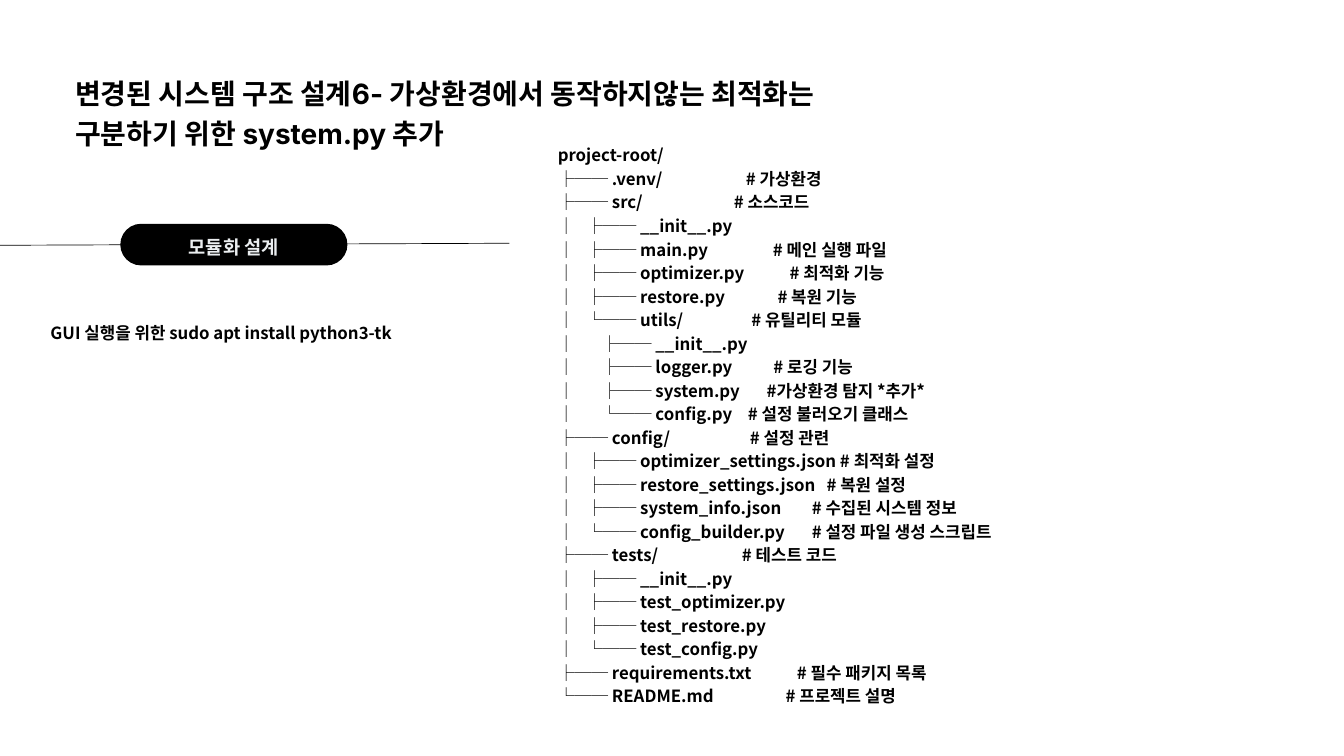
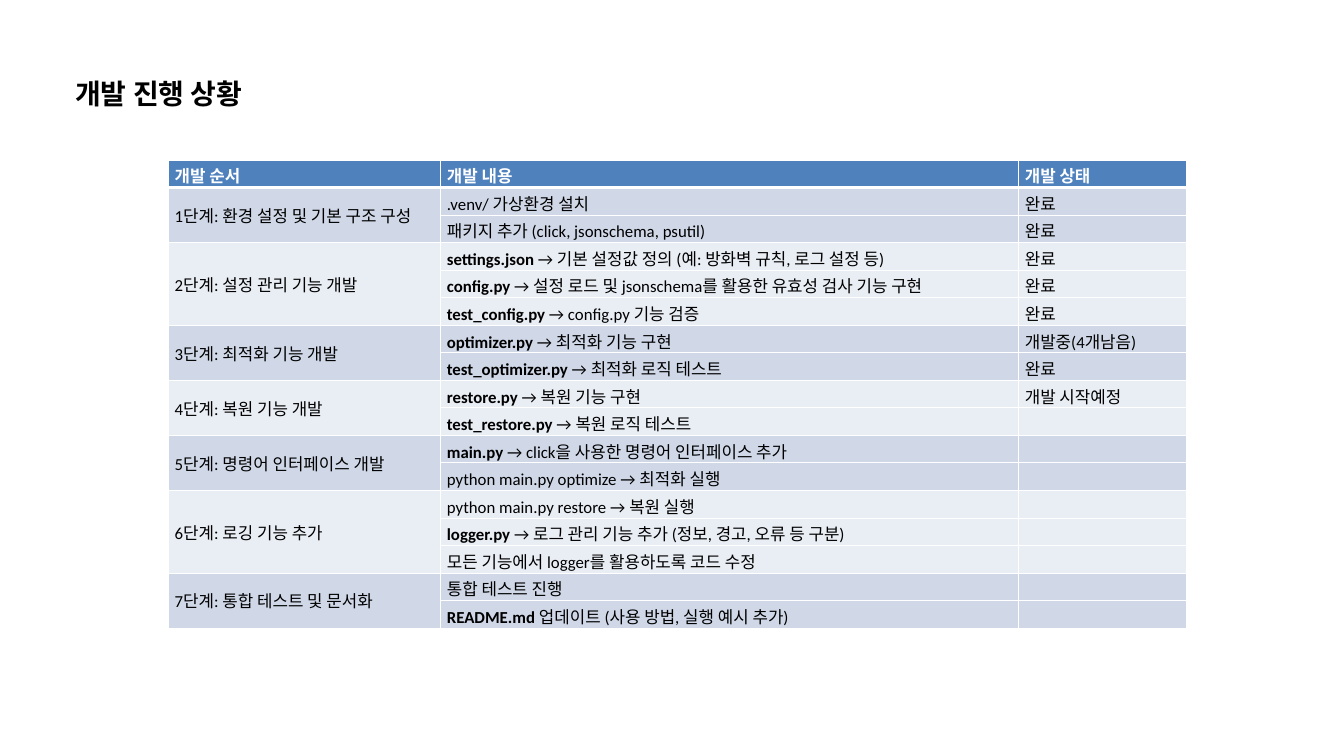
import pptx
import pptx.util
import pptx.dml.color
import pptx.enum.shapes
import pptx.enum.text
import pptx.oxml
import pptx.oxml.ns
from dataclasses import dataclass

Inches = pptx.util.Inches
Pt = pptx.util.Pt
RGB = pptx.dml.color.RGBColor.from_string
NS = pptx.oxml.ns.nsdecls("a")


@dataclass(frozen=True)
class Theme:
    black: str = "000000"
    white: str = "FFFFFF"
    pill_text: str = "EBEEF0"
    header: str = "4F81BD"
    bands: tuple = ("D0D8E8", "E9EDF4")
    title_font: str = "Inter"
    body_font: str = "Noto Sans CJK SC"
    table_font: str = "Calibri"
    title_size: int = 30
    pill_size: int = 20
    body_size: int = 18
    leading: float = 1.4


THEME = Theme()
TITLE = {"name": THEME.title_font, "size": Pt(THEME.title_size), "bold": True}
PILL = {"name": THEME.body_font, "size": Pt(THEME.pill_size), "bold": True}
BODY = {"name": THEME.body_font, "size": Pt(THEME.body_size), "bold": True}
CELL = {"name": THEME.table_font, "size": Pt(THEME.body_size), "bold": False}
CELL_BOLD = {**CELL, "bold": True}

TREE = [
    ("project-root/",),
    ("├── .venv/", 2.8, "# 가상환경"),
    ("├── src/", 2.62, "# 소스코드"),
    ("│   ├── __init__.py",),
    ("│   ├── main.py", 3.2, "# 메인 실행 파일"),
    ("│   ├── optimizer.py", 3.45, "# 최적화 기능"),
    ("│   ├── restore.py", 3.27, "# 복원 기능"),
    ("│   └── utils/", 2.88, "# 유틸리티 모듈"),
    ("│       ├── __init__.py",),
    ("│       ├── logger.py", 3.21, "# 로깅 기능"),
    ("│       ├── system.py", 3.11, "#가상환경 탐지 *추가*"),
    ("│       └── config.py", 2.83, "# 설정 불러오기 클래스"),
    ("├── config/", 2.86, "# 설정 관련"),
    ("│   ├── optimizer_settings.json # 최적화 설정",),
    ("│   ├── restore_settings.json", 4, "# 복원 설정"),
    ("│   ├── system_info.json", 3.78, "# 수집된 시스템 정보"),
    ("│   └── config_builder.py", 3.78, "# 설정 파일 생성 스크립트"),
    ("├── tests/", 2.74, "# 테스트 코드"),
    ("│   ├── __init__.py",),
    ("│   ├── test_optimizer.py",),
    ("│   ├── test_restore.py",),
    ("│   └── test_config.py",),
    ("├── requirements.txt", 3.56, "# 필수 패키지 목록"),
    ("└── README.md", 3.39, "# 프로젝트 설명"),
]

HEADERS = ["개발 순서", "개발 내용", "개발 상태"]
COLUMNS = [4.05, 8.6, 2.5]
STAGES = [
    ("1단계: 환경 설정 및 기본 구조 구성", [
        ("", ".venv/ 가상환경 설치", "완료"),
        ("", "패키지 추가 (click, jsonschema, psutil)", "완료")]),
    ("2단계: 설정 관리 기능 개발", [
        ("settings.json", " → 기본 설정값 정의 (예: 방화벽 규칙, 로그 설정 등)", "완료"),
        ("config.py", " → 설정 로드 및 jsonschema를 활용한 유효성 검사 기능 구현", "완료"),
        ("test_config.py", " → config.py 기능 검증", "완료")]),
    ("3단계: 최적화 기능 개발", [
        ("optimizer.py", " → 최적화 기능 구현", "개발중(4개남음)"),
        ("test_optimizer.py", " → 최적화 로직 테스트", "완료")]),
    ("4단계: 복원 기능 개발", [
        ("restore.py", " → 복원 기능 구현", "개발 시작예정"),
        ("test_restore.py", " → 복원 로직 테스트", "")]),
    ("5단계: 명령어 인터페이스 개발", [
        ("main.py", " → click을 사용한 명령어 인터페이스 추가", ""),
        ("", "python main.py optimize → 최적화 실행", "")]),
    ("6단계: 로깅 기능 추가", [
        ("", "python main.py restore → 복원 실행", ""),
        ("logger.py", " → 로그 관리 기능 추가 (정보, 경고, 오류 등 구분)", ""),
        ("", "모든 기능에서 logger를 활용하도록 코드 수정", "")]),
    ("7단계: 통합 테스트 및 문서화", [
        ("", "통합 테스트 진행", ""),
        ("README.md", " 업데이트 (사용 방법, 실행 예시 추가)", "")]),
]


def add_run(p, text, fmt, color=THEME.black):
    r = p.add_run()
    r.text = text
    for name, value in fmt.items():
        setattr(r.font, name, value)
    r.font.color.rgb = RGB(color)


def add_tab(p, stop):
    p._p.get_or_add_pPr().append(pptx.oxml.parse_xml(
        f'<a:tabLst {NS}><a:tab pos="{Inches(stop)}" algn="l"/></a:tabLst>'))


def add_text(s, box, lines, fmt, color=THEME.black, align=None):
    tf = s.shapes.add_textbox(*map(Inches, box)).text_frame
    tf.word_wrap = True
    for side in ("left", "top", "right", "bottom"):
        setattr(tf, f"margin_{side}", 0)
    for i, (text, *comment) in enumerate(lines):
        p = tf.paragraphs[0] if i == 0 else tf.add_paragraph()
        if comment:
            stop, note = comment
            add_tab(p, stop)
            text = f"{text}\t{note}"
        p.line_spacing = Pt(fmt["size"].pt * THEME.leading)
        p.alignment = align
        add_run(p, text, fmt, color)


def add_title(s, text, width, height):
    add_text(s, (1.12, 1.06, width, height), [(text,)], TITLE)


def add_rule(s, x1, y1, x2, y2):
    sp = s.shapes.add_connector(pptx.enum.shapes.MSO_CONNECTOR.STRAIGHT,
                                *map(Inches, (x1, y1, x2, y2)))
    sp.line.color.rgb = RGB(THEME.black)
    sp.line.width = Pt(0.75)
    sp._element.spPr.append(pptx.oxml.parse_xml(f"<a:effectLst {NS}/>"))


def add_pill(s, box, label_box, text):
    sp = s.shapes.add_shape(pptx.enum.shapes.MSO_SHAPE.ROUNDED_RECTANGLE, *map(Inches, box))
    sp.adjustments[0] = 0.5
    sp.shadow.inherit = False
    sp.fill.solid()
    sp.fill.fore_color.rgb = RGB(THEME.black)
    sp.line.fill.background()
    add_text(s, label_box, [(text,)], PILL, THEME.pill_text, pptx.enum.text.PP_ALIGN.CENTER)


def set_borders(cell, bottom=1):
    tcPr = cell._tc.get_or_add_tcPr()
    for i, (side, width) in enumerate(zip("LRTB", (1, 1, 1, bottom))):
        tcPr.insert(i, pptx.oxml.parse_xml(
            f'<a:ln{side} {NS} w="{Pt(width)}"><a:solidFill>'
            f'<a:srgbClr val="{THEME.white}"/></a:solidFill></a:ln{side}>'))


def fill_cell(cell, fill, runs, color=THEME.black, bottom=1):
    cell.fill.solid()
    cell.fill.fore_color.rgb = RGB(fill)
    set_borders(cell, bottom)
    for text, fmt in runs:
        if text:
            add_run(cell.text_frame.paragraphs[0], text, fmt, color)


def add_progress_table(s, left, top, row_height):
    rows = 1 + sum(len(tasks) for _, tasks in STAGES)
    tbl = s.shapes.add_table(rows, len(COLUMNS), Inches(left), Inches(top),
                             Inches(sum(COLUMNS)), Inches(row_height * rows)).table
    for column, width in zip(tbl.columns, COLUMNS):
        column.width = Inches(width)
    for row in tbl.rows:
        row.height = Inches(row_height)
    for i, text in enumerate(HEADERS):
        fill_cell(tbl.cell(0, i), THEME.header, [(text, CELL_BOLD)], THEME.white, bottom=3)
    first = 1
    for i, (stage, tasks) in enumerate(STAGES):
        band = THEME.bands[i % 2]
        for j, (file, task, status) in enumerate(tasks):
            row = first + j
            fill_cell(tbl.cell(row, 0), band, [(stage if j == 0 else "", CELL)])
            fill_cell(tbl.cell(row, 1), band, [(file, CELL_BOLD), (task, CELL)])
            fill_cell(tbl.cell(row, 2), band, [(status, CELL)])
        head = tbl.cell(first, 0)
        head.merge(tbl.cell(row, 0))
        head.vertical_anchor = pptx.enum.text.MSO_ANCHOR.MIDDLE
        first = row + 1


def build_structure_slide(s):
    add_rule(s, 0, 3.65, 7.58, 3.62)
    add_pill(s, (1.79, 3.33, 3.38, 0.62), (2.46, 3.45, 2.04, 0.37), "모듈화 설계")
    add_text(s, (8.3, 2.11, 10.68, 8.39), TREE, BODY)
    add_title(s, "변경된 시스템 구조 설계6- 가상환경에서 동작하지않는 최적화는 "
                 "구분하기 위한 system.py 추가", 12.21, 1.13)
    add_text(s, (0.75, 4.76, 6.25, 0.33),
             [("GUI 실행을 위한 sudo apt install python3-tk",)], BODY)


def build_progress_slide(s):
    add_title(s, "개발 진행 상황", 4.01, 0.54)
    add_progress_table(s, 2.5, 2.38, 0.41)


def main():
    prs = pptx.Presentation()
    prs.slide_width = Inches(20)
    prs.slide_height = Inches(11.25)
    for build in (build_structure_slide, build_progress_slide):
        build(prs.slides.add_slide(prs.slide_layouts[6]))
    prs.save("out.pptx")


if __name__ == "__main__":
    main()
